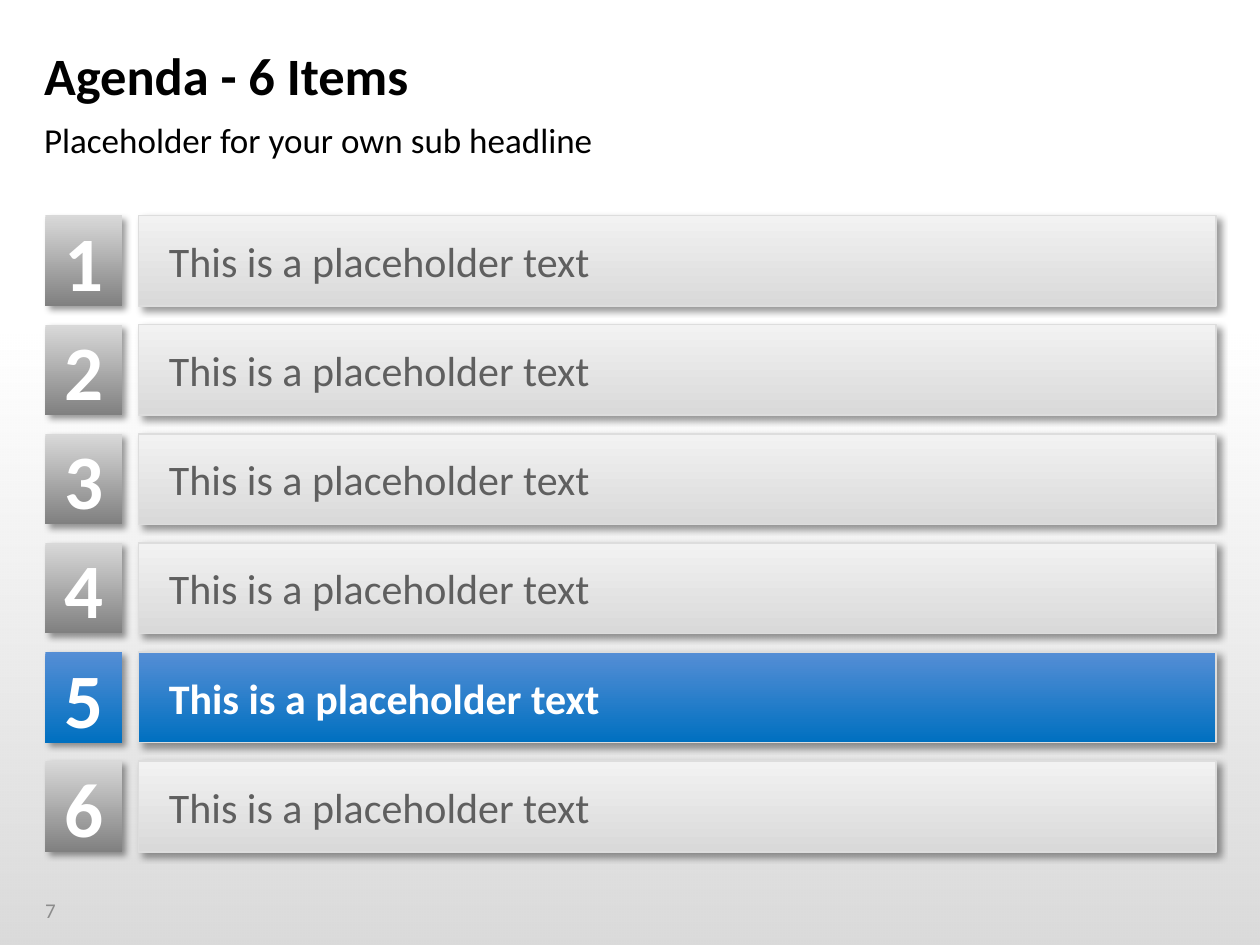
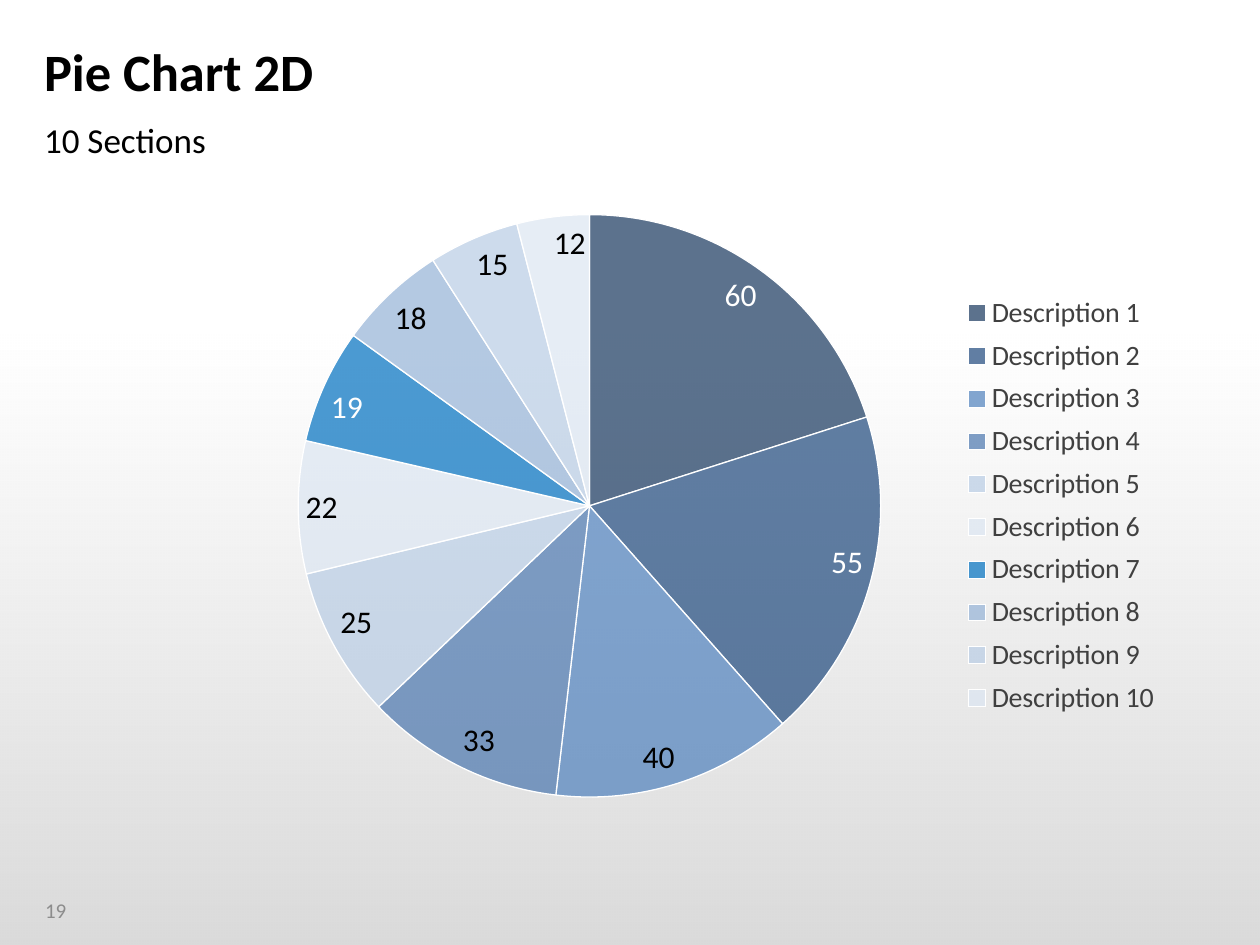
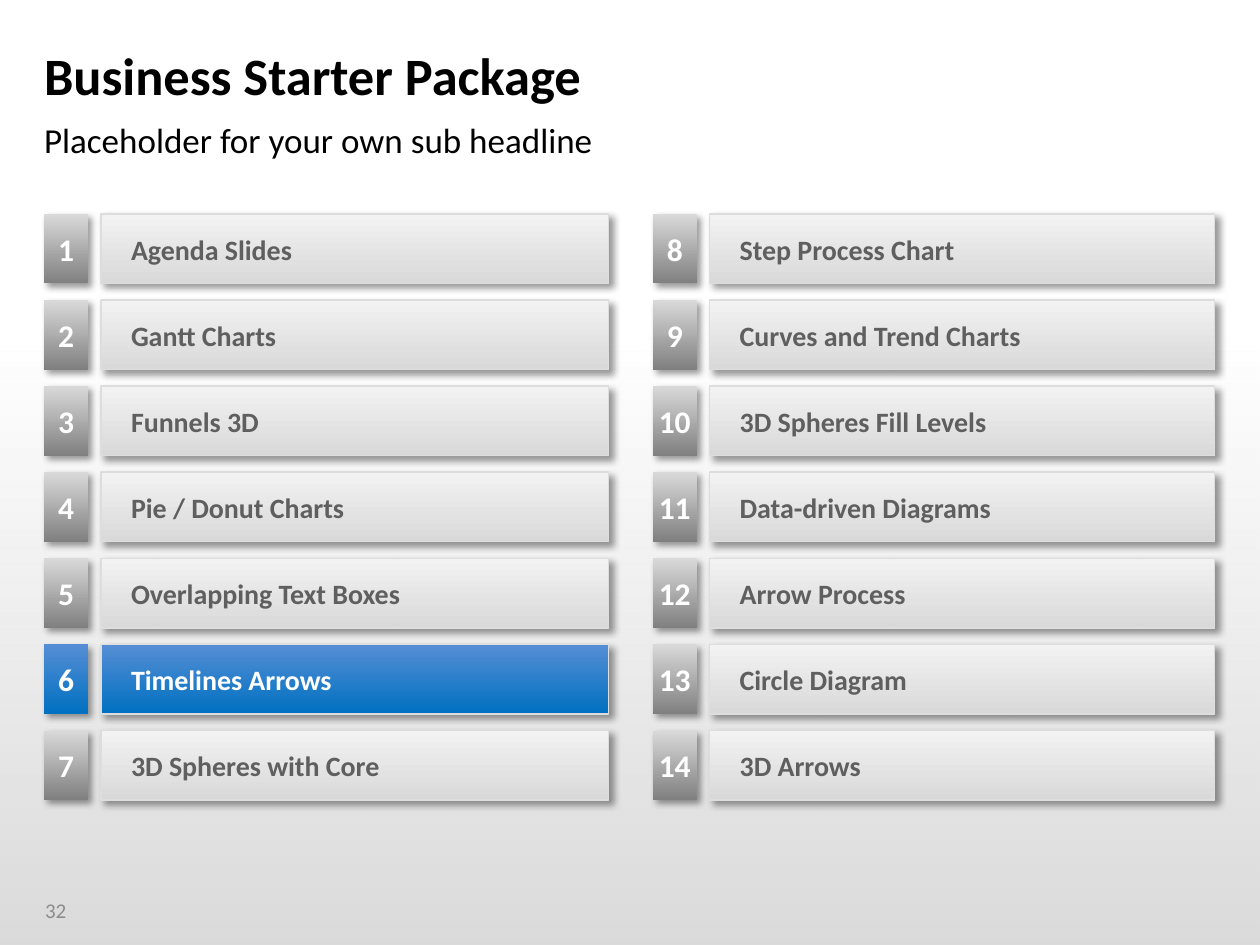
"""Build three business slides: an agenda, a pie chart and a two-column overview."""
from lxml import etree
from pptx import Presentation
from pptx.chart.data import CategoryChartData
from pptx.dml.color import RGBColor
from pptx.enum.chart import XL_CHART_TYPE, XL_LABEL_POSITION, XL_LEGEND_POSITION
from pptx.enum.shapes import MSO_SHAPE
from pptx.enum.text import MSO_ANCHOR, PP_ALIGN
from pptx.oxml import parse_xml
from pptx.oxml.ns import qn
from pptx.util import Inches, Pt

PIE = XL_CHART_TYPE.PIE
INSIDE_END = XL_LABEL_POSITION.INSIDE_END
LEGEND_RIGHT = XL_LEGEND_POSITION.RIGHT
RECTANGLE = MSO_SHAPE.RECTANGLE
TOP, MIDDLE = MSO_ANCHOR.TOP, MSO_ANCHOR.MIDDLE
LEFT, CENTER = PP_ALIGN.LEFT, PP_ALIGN.CENTER

FONT = "Calibri"
COLORS = {
    "black": "000000", "white": "FFFFFF", "page_number": "8C8C8C",
    "card_text": "5F5F5F", "card_top": "F2F2F2", "card_bottom": "D9D9D9",
    "card_line": "DDDDDD", "badge_top": "D9D9D9", "badge_bottom": "808080",
    "active_top": "558ED5", "active_bottom": "0070C0", "legend": "404040",
}
WIDTH, HEIGHT = 10, 7.5
MARGIN = 0.35
CARD_INSETS = (0.24, 0.04, 0.04, 0.04)
NO_INSETS = (0, 0, 0, 0)


def write(shape, text, size, color, bold=False, align=LEFT, anchor=MIDDLE, insets=NO_INSETS):
    frame = shape.text_frame
    frame.text = text
    frame.word_wrap = True
    frame.vertical_anchor = anchor
    frame.margin_left, frame.margin_top, frame.margin_right, frame.margin_bottom = map(Inches, insets)
    paragraph = frame.paragraphs[0]
    paragraph.alignment = align
    font = paragraph.runs[0].font
    font.name, font.size, font.bold = FONT, Pt(size), bold
    font.color.rgb = RGBColor.from_string(COLORS[color])


def add_gradient_box(shapes, area, top_color, bottom_color, line=None, shadow=True):
    shape = shapes.add_shape(RECTANGLE, *map(Inches, area))
    shape.fill.gradient()
    shape.fill.gradient_angle = 270
    for stop, color in zip(shape.fill.gradient_stops, (top_color, bottom_color)):
        stop.color.rgb = RGBColor.from_string(COLORS[color])
    if line:
        shape.line.color.rgb = RGBColor.from_string(COLORS[line])
        shape.line.width = Pt(1)
    else:
        shape.line.fill.background()
    shape.shadow.inherit = False
    if shadow:
        effects = shape._element.spPr.find(qn("a:effectLst"))
        outer = etree.SubElement(effects, qn("a:outerShdw"), blurRad=str(Pt(4)), dist=str(Pt(3)),
                                 dir="2700000", algn="tl", rotWithShape="0")
        tint = etree.SubElement(outer, qn("a:srgbClr"), val=COLORS["black"])
        etree.SubElement(tint, qn("a:alpha"), val="40000")
    return shape


presentation = Presentation()
presentation.slide_width, presentation.slide_height = Inches(WIDTH), Inches(HEIGHT)
blank_layout = presentation.slide_layouts[6]

headers = [
    ("Agenda - 6 Items", "Placeholder for your own sub headline", "7", 1),
    ("Pie Chart 2D", "10 Sections", "19", 0.9),
    ("Business Starter Package", "Placeholder for your own sub headline", "32", 1),
]
slides = []
for title, subtitle, number, spacing in headers:
    slide = presentation.slides.add_slide(blank_layout)
    slides.append(slide)
    shade = add_gradient_box(slide.shapes, (0, 2.59, WIDTH, HEIGHT - 2.59), "black", "black", shadow=False)
    shade_colors = shade._element.spPr.findall(".//" + qn("a:srgbClr"))
    for tint, opacity in zip(shade_colors, ("0", "15000")):
        etree.SubElement(tint, qn("a:alpha"), val=opacity)
    page_box = slide.shapes.add_textbox(*map(Inches, (0.26, 7.02, 0.64, 0.4)))
    write(page_box, number, 12, "page_number", insets=(0.1, 0.05, 0.1, 0.05))
    title_box = slide.shapes.add_textbox(*map(Inches, (MARGIN, 0.26, WIDTH - 2 * MARGIN, 0.67)))
    write(title_box, title, 30, "black", bold=True, insets=(0, 0.05, 0.1, 0.05))
    title_box.text_frame.paragraphs[0].line_spacing = spacing
    subtitle_box = slide.shapes.add_textbox(*map(Inches, (MARGIN, 0.94, WIDTH - 2 * MARGIN, 0.37)))
    write(subtitle_box, subtitle, 20, "black", anchor=TOP)

agenda_slide, pie_slide, overview_slide = slides

topics = [
    "Agenda Slides", "Gantt Charts", "Funnels 3D", "Pie / Donut Charts",
    "Overlapping Text Boxes", "Timelines Arrows", "3D Spheres with Core",
    "Step Process Chart", "Curves and Trend Charts", "3D Spheres Fill Levels",
    "Data-driven Diagrams", "Arrow Process", "Circle Diagram", "3D Arrows",
]
lists = [
    {"slide": agenda_slide, "items": ["This is a placeholder text"] * 6, "active": 5, "rows": 6,
     "top": 1.71, "pitch": 0.866, "height": 0.72, "columns": [(0.36, 1.1, 8.55)],
     "badge": 0.61, "sizes": (24, 44), "bold": False},
    {"slide": overview_slide, "items": topics, "active": 6, "rows": 7,
     "top": 1.7, "pitch": 0.683, "height": 0.55, "columns": [(0.35, 0.8, 4.03), (5.18, 5.63, 4.01)],
     "badge": 0.35, "sizes": (16, 18), "bold": True},
]
for agenda in lists:
    text_size, number_size = agenda["sizes"]
    for index, item in enumerate(agenda["items"]):
        column, row = divmod(index, agenda["rows"])
        badge_left, card_left, card_width = agenda["columns"][column]
        top, height = agenda["top"] + row * agenda["pitch"], agenda["height"]
        active = index + 1 == agenda["active"]
        card_fill = ("active_top", "active_bottom") if active else ("card_top", "card_bottom")
        badge_fill = ("active_top", "active_bottom") if active else ("badge_top", "badge_bottom")
        group = agenda["slide"].shapes.add_group_shape()
        card = add_gradient_box(group.shapes, (card_left, top, card_width, height), *card_fill, line="card_line")
        write(card, item, text_size, "white" if active else "card_text",
              bold=active or agenda["bold"], insets=CARD_INSETS)
        badge = add_gradient_box(group.shapes, (badge_left, top, agenda["badge"], height), *badge_fill)
        write(badge, str(index + 1), number_size, "white", bold=True, align=CENTER)

sections = [
    (60, "17375E", "white"), (55, "1F497D", "white"), (40, "4F81BD", "black"),
    (33, "4A76AE", "black"), (25, "B9CDE5", "black"), (22, "DCE6F2", "black"),
    (19, "0070C0", "white"), (18, "95B3D7", "black"), (15, "B9CDE5", "black"),
    (12, "DCE6F2", "black"),
]
chart_data = CategoryChartData()
chart_data.categories = [f"Description {number}" for number in range(1, len(sections) + 1)]
chart_data.add_series("Series 1", [value for value, _, _ in sections])
chart = pie_slide.shapes.add_chart(PIE, *map(Inches, (1.26, 1.54, 8.38, 4.95)), chart_data).chart
chart.has_title = False
chart.font.name, chart.font.size = FONT, Pt(18)
chart.font.color.rgb = RGBColor.from_string(COLORS["black"])
chart.has_legend = True
legend = chart.legend
legend.position = LEGEND_RIGHT
legend.include_in_layout = False
legend.font.name, legend.font.size = FONT, Pt(16)
legend.font.color.rgb = RGBColor.from_string(COLORS["legend"])

plot = chart.plots[0]
plot.vary_by_categories = True
plot.has_data_labels = True
plot.data_labels.show_value = True
plot.data_labels.show_percentage = False
plot.data_labels.position = INSIDE_END
for index, (_, color, label_color) in enumerate(sections):
    point = plot.series[0].points[index]
    point.format.fill.solid()
    point.format.fill.fore_color.rgb = RGBColor.from_string(color)
    point.format.line.color.rgb = RGBColor.from_string(COLORS["white"])
    point.format.line.width = Pt(0.75)
    label = point.data_label
    label.font.name, label.font.size = FONT, Pt(18)
    label.font.color.rgb = RGBColor.from_string(COLORS[label_color])
    label.position = INSIDE_END
for tint in plot._element.xpath(".//c:dPt/c:spPr/a:solidFill/a:srgbClr"):
    etree.SubElement(tint, qn("a:alpha"), val="70000")

plot_area = plot._element.getparent()
layouts = [
    (plot_area, 0, '<c:layoutTarget val="inner"/>', (0.132, 0.033, 0.552, 0.934)),
    (legend._element, 1, "", (0.75, 0.15, 0.21, 0.7)),
]
for parent, position, target, (left, top, width, height) in layouts:
    for old_layout in parent.findall(qn("c:layout")):
        parent.remove(old_layout)
    parent.insert(position, parse_xml(
        '<c:layout xmlns:c="http://schemas.openxmlformats.org/drawingml/2006/chart"><c:manualLayout>'
        f'{target}<c:xMode val="edge"/><c:yMode val="edge"/><c:x val="{left}"/><c:y val="{top}"/>'
        f'<c:w val="{width}"/><c:h val="{height}"/></c:manualLayout></c:layout>'))

presentation.save("out.pptx")
